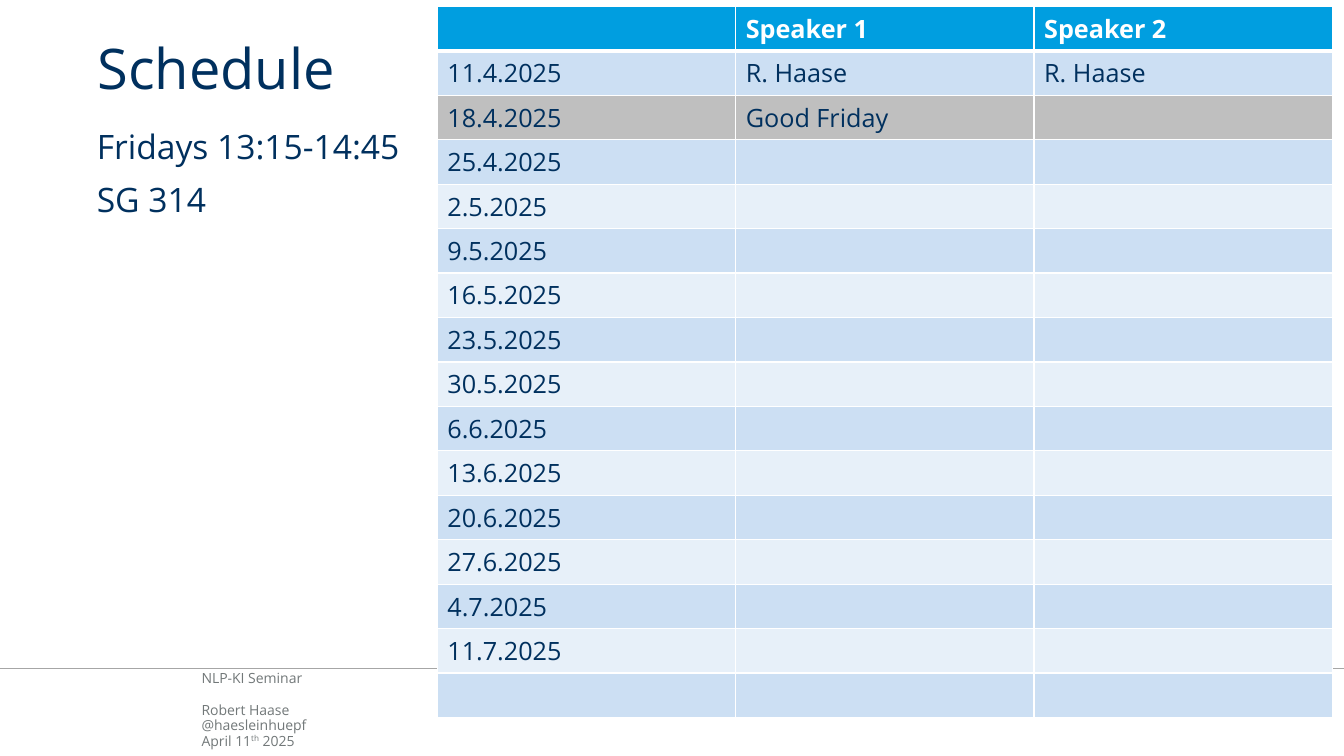
from dataclasses import dataclass

from lxml.etree import SubElement
from pptx import Presentation
from pptx.dml.color import RGBColor
from pptx.enum.shapes import MSO_CONNECTOR
from pptx.oxml.ns import qn
from pptx.util import Cm, Pt


@dataclass(frozen=True)
class Theme:
    font: str = "Open Sans"
    navy: str = "00305E"
    gray_text: str = "727879"
    rule: str = "A6A6A6"
    white: str = "FFFFFF"
    header: str = "009EE0"
    dark_band: str = "CCDFF3"
    light_band: str = "E7F0F9"
    holiday: str = "BFBFBF"
    title_size: int = 40
    body_size: int = 24
    table_size: int = 18
    footer_size: int = 10


theme = Theme()


def style(paragraph, size, color, bold=False):
    paragraph.font.name = theme.font
    paragraph.font.size = Pt(size)
    paragraph.font.bold = bold
    paragraph.font.color.rgb = RGBColor.from_string(color)


def add_text(slide, box, lines, size, color, gaps):
    """Add a text box; gaps maps a line index to its space before in points."""
    frame = slide.shapes.add_textbox(*(Cm(value) for value in box)).text_frame
    frame.word_wrap = True
    frame.margin_left = frame.margin_right = frame.margin_top = frame.margin_bottom = 0
    frame.text = "\n".join(lines)
    for index, paragraph in enumerate(frame.paragraphs):
        paragraph.line_spacing = 0.9
        if index in gaps:
            paragraph.space_before = Pt(gaps[index])
        style(paragraph, size, color)
    return frame


presentation = Presentation()
presentation.slide_width = Cm(33.87)
presentation.slide_height = Cm(19.05)
slide = presentation.slides.add_slide(presentation.slide_layouts[6])

# Footer
footer = add_text(slide, (5.08, 16.92, 7.75, 2.13),
                  ["NLP-KI Seminar", "Robert Haase", "@haesleinhuepf", "April 11"],
                  theme.footer_size, theme.gray_text, {1: 12.2})
date = footer.paragraphs[-1]
ordinal = date.add_run()
ordinal.text = "th"
ordinal.font._element.set("baseline", "30000")
date.add_run().text = " 2025"

footer_line = slide.shapes.add_connector(
    MSO_CONNECTOR.STRAIGHT, 0, Cm(16.85), presentation.slide_width, Cm(16.85))
footer_line.line.color.rgb = RGBColor.from_string(theme.rule)
footer_line.line.width = Pt(1)
SubElement(footer_line._element.spPr, qn("a:effectLst"))

# Title and place
add_text(slide, (2.46, 1.04, 8.4, 2.26), ["Schedule"],
         theme.title_size, theme.navy, {})
add_text(slide, (2.44, 3.28, 7.85, 12.65), ["Fridays 13:15-14:45", "SG 314"],
         theme.body_size, theme.navy, {1: 12})

# Schedule table
dates = ["11.4.2025", "18.4.2025", "25.4.2025", "2.5.2025", "9.5.2025",
         "16.5.2025", "23.5.2025", "30.5.2025", "6.6.2025", "13.6.2025",
         "20.6.2025", "27.6.2025", "4.7.2025", "11.7.2025", ""]
speakers = {"11.4.2025": ["R. Haase", "R. Haase"], "18.4.2025": ["Good Friday", ""]}
rows = [["", "Speaker 1", "Speaker 2"]]
rows += [[day, *speakers.get(day, ["", ""])] for day in dates]

column_width, row_height = 7.52, 1.12
table = slide.shapes.add_table(
    len(rows), 3, Cm(11.02), Cm(0.16),
    Cm(3 * column_width), Cm(len(rows) * row_height)).table
for column in table.columns:
    column.width = Cm(column_width)

for row_index, values in enumerate(rows):
    table.rows[row_index].height = Cm(row_height)
    is_header = row_index == 0
    if is_header:
        fill_color = theme.header
    elif "Good Friday" in values:
        fill_color = theme.holiday
    else:
        fill_color = theme.dark_band if row_index % 2 else theme.light_band

    for column_index, value in enumerate(values):
        cell = table.cell(row_index, column_index)
        cell.text = value
        style(cell.text_frame.paragraphs[0], theme.table_size,
              theme.white if is_header else theme.navy, is_header)

        # White borders, heavier between header and first row
        properties = cell._tc.get_or_add_tcPr()
        for side in "LRTB":
            heavy = (side == "B" and is_header) or (side == "T" and row_index == 1)
            border = SubElement(properties, qn(f"a:ln{side}"), w=str(Pt(3 if heavy else 1)))
            border_fill = SubElement(border, qn("a:solidFill"))
            SubElement(border_fill, qn("a:srgbClr"), val=theme.white)

        cell.fill.solid()
        cell.fill.fore_color.rgb = RGBColor.from_string(fill_color)

presentation.save("out.pptx")
